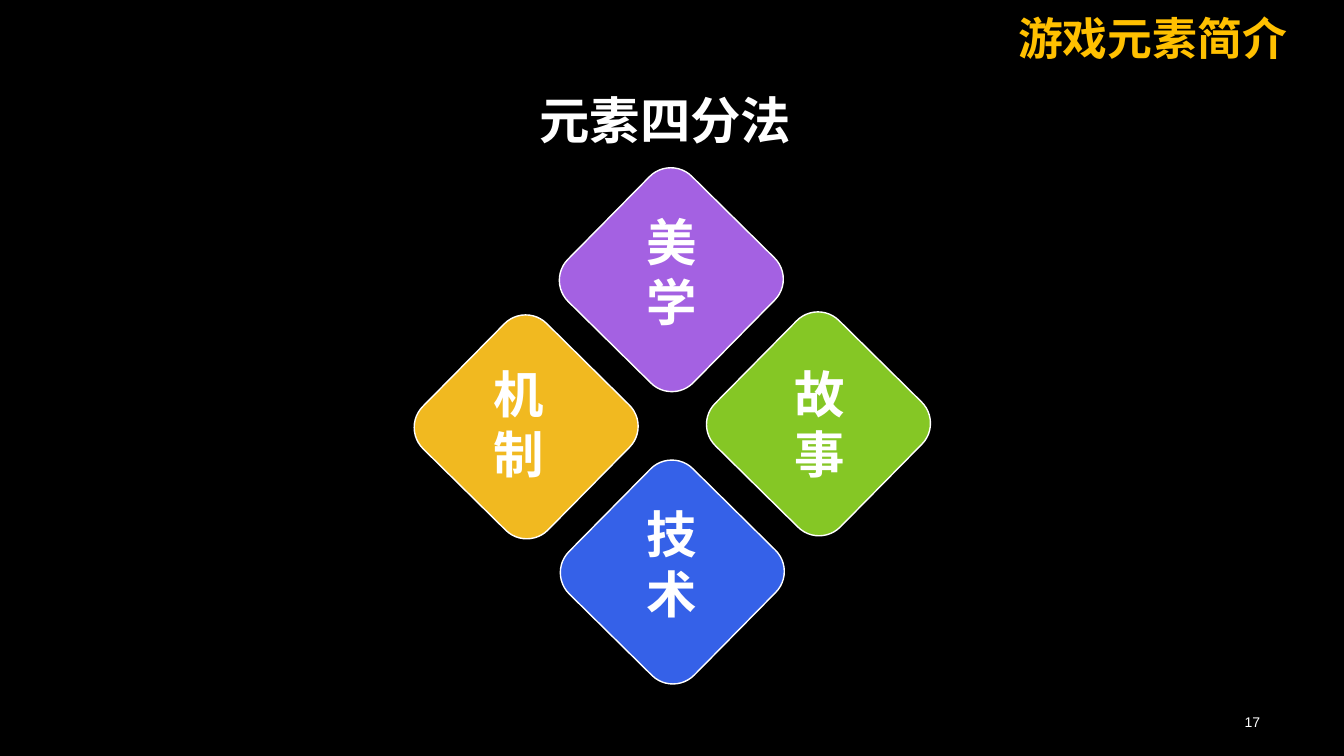
from dataclasses import dataclass

from lxml import etree
from pptx import Presentation
from pptx.dml.color import RGBColor
from pptx.enum.shapes import MSO_SHAPE
from pptx.enum.text import MSO_ANCHOR, MSO_AUTO_SIZE, PP_ALIGN
from pptx.oxml.ns import qn
from pptx.util import Inches, Pt

ROUNDED = MSO_SHAPE.ROUNDED_RECTANGLE
TOP, MIDDLE = MSO_ANCHOR.TOP, MSO_ANCHOR.MIDDLE
LEFT, CENTER, RIGHT = PP_ALIGN.LEFT, PP_ALIGN.CENTER, PP_ALIGN.RIGHT
NO_AUTOFIT = MSO_AUTO_SIZE.NONE
TITLE_ONLY = 5
COLUMNS, ROWS = 80, 45


@dataclass(frozen=True)
class Theme:
    background: str = "000000"
    text: str = "FFFFFF"
    title: str = "FFC000"
    purple: str = "A461E2"
    green: str = "85C725"
    yellow: str = "F1B920"
    blue: str = "3561E8"
    title_size: int = 32
    label_size: int = 36
    number_size: int = 10
    title_font: str = "Times New Roman"
    label_font: str = "Noto Sans CJK SC"
    number_font: str = "Arial"


class SlideBuilder:
    def __init__(self, deck, theme):
        self.theme = theme
        self.column = deck.slide_width / COLUMNS
        self.row = deck.slide_height / ROWS
        self.slide = deck.slides.add_slide(deck.slide_layouts[TITLE_ONLY])
        fill = self.slide.background.fill
        fill.solid()
        fill.fore_color.rgb = RGBColor.from_string(theme.background)

    def area(self, left, top, width, height):
        return (round(left * self.column), round(top * self.row),
                round(width * self.column), round(height * self.row))

    def add_text(self, box, text, size, font, color, bold, align, anchor):
        frame = box.text_frame
        frame.word_wrap = True
        frame.auto_size = NO_AUTOFIT
        frame.vertical_anchor = anchor
        para = frame.paragraphs[0]
        para.alignment = align
        span = para.add_run()
        span.text = text
        span.font.size = Pt(size)
        span.font.bold = bold
        span.font.color.rgb = RGBColor.from_string(color)
        span.font.name = font
        properties = span._r.get_or_add_rPr()
        east_asian = etree.SubElement(properties, qn("a:ea"))
        east_asian.set("typeface", self.theme.label_font)

    def title(self, text, area):
        box = self.slide.shapes.title
        box.left, box.top, box.width, box.height = self.area(*area)
        theme = self.theme
        self.add_text(box, text, theme.title_size, theme.title_font,
                      theme.title, True, LEFT, TOP)

    def label(self, text, area, align=LEFT):
        box = self.slide.shapes.add_textbox(*self.area(*area))
        theme = self.theme
        self.add_text(box, text, theme.label_size, theme.label_font,
                      theme.text, True, align, TOP)

    def page_number(self, text, area):
        box = self.slide.shapes.add_textbox(*self.area(*area))
        theme = self.theme
        self.add_text(box, text, theme.number_size, theme.number_font,
                      theme.text, False, RIGHT, MIDDLE)

    def diamond(self, center_x, center_y, side, color):
        area = self.area(center_x - side / 2, center_y - side / 2, side, side)
        shape = self.slide.shapes.add_shape(ROUNDED, *area)
        shape.rotation = 44.6
        shape.adjustments[0] = 0.17
        shape.shadow.inherit = False
        shape.fill.solid()
        shape.fill.fore_color.rgb = RGBColor.from_string(color)
        shape.line.color.rgb = RGBColor.from_string(self.theme.text)
        shape.line.width = Pt(1)


def main():
    deck = Presentation()
    deck.slide_width, deck.slide_height = Inches(13.33), Inches(7.5)
    theme = Theme()
    page = SlideBuilder(deck, theme)

    page.title("游戏元素简介", (60, 0.36, 18.24, 3.84))
    page.page_number("17", (58.14, 42.24, 17.46, 1.44))
    page.label("元素四分法", (20.7, 4.98, 37.8, 4.26), CENTER)

    elements = [
        ("美学", theme.purple, (39.96, 16.65), (37.92, 12.24)),
        ("故事", theme.green, (48.72, 25.23), (46.68, 21.3)),
        ("机制", theme.yellow, (31.32, 25.41), (28.8, 21.3)),
        ("技术", theme.blue, (40.02, 34.05), (37.92, 29.64)),
    ]
    for name, color, center, corner in elements:
        page.diamond(*center, 10.47, color)
        page.label(name, (*corner, 4.02, 7.86))

    deck.save("out.pptx")


if __name__ == "__main__":
    main()
